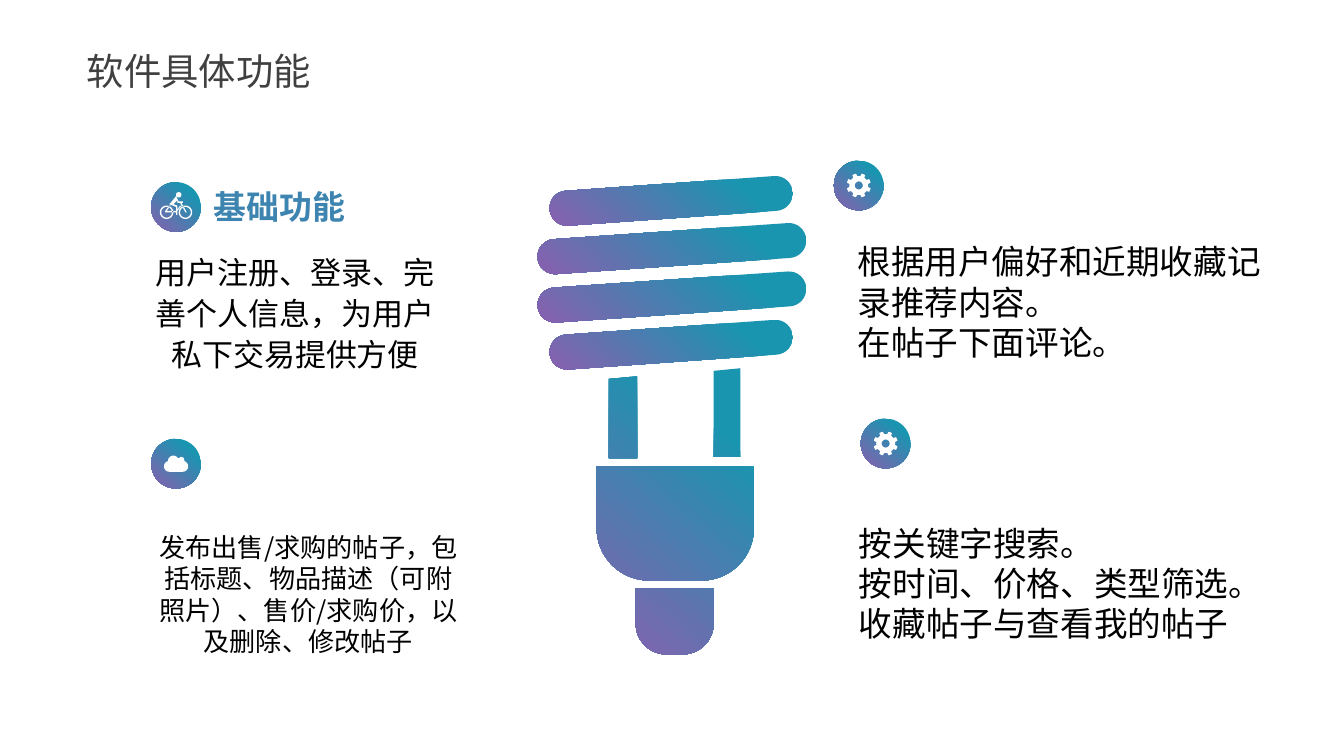
import math

from pptx import Presentation
from pptx.dml.color import RGBColor
from pptx.enum import shapes, text
from pptx.util import Inches, Pt

TEAL = RGBColor(0x1A, 0x95, 0xB0)
PURPLE = RGBColor(0x89, 0x5F, 0xAF)
BLUE = RGBColor(0x3D, 0x84, 0xB0)
GREY = RGBColor(0x40, 0x40, 0x40)
BLACK = RGBColor(0, 0, 0)
WHITE = RGBColor(0xFF, 0xFF, 0xFF)
BADGE_SIZE = 0.37


# Outlines: lists of (x, y) points in inches
def arc(x, y, radius, start, end, steps=16):
    angles = [math.radians(start + (end - start) * i / steps) for i in range(steps + 1)]
    return [(x + radius * math.cos(a), y + radius * math.sin(a)) for a in angles]


def circle(x, y, radius):
    return arc(x, y, radius, 0, 360, 32)


def tube(left, left_y, right, right_y, radius=0.13):
    tilt = math.degrees(math.atan2(right_y - left_y, right - left))
    return (arc(left, left_y, radius, tilt + 90, tilt + 270)
            + arc(right, right_y, radius, tilt - 90, tilt + 90))


def cup(left, top, right, bottom, radius):
    return ([(left, top), (right, top)]
            + arc(right - radius, bottom - radius, radius, 0, 90)
            + arc(left + radius, bottom - radius, radius, 90, 180))


def gear(x, y):
    rim = []
    for tooth in range(8):
        middle = 22.5 + 45 * tooth
        rim += arc(x, y, 0.07, middle - 22.5, middle - 13, 3)
        rim += arc(x, y, 0.09, middle - 9, middle + 9, 3)
        rim += arc(x, y, 0.07, middle + 13, middle + 22.5, 3)
    return [rim, circle(x, y, 0.03)]


class Painter:
    def __init__(self, page):
        self.page = page
        self.layer = page.shapes

    def group(self):
        self.layer = self.page.shapes.add_group_shape().shapes

    def paint(self, shape, color=None):
        """Fill with the colour, or with the teal to purple gradient."""
        shape.shadow.inherit = False
        shape.line.fill.background()
        if color is not None:
            shape.fill.solid()
            shape.fill.fore_color.rgb = color
            return
        shape.fill.gradient()
        shape.fill.gradient_angle = 230
        for stop, place, tone in zip(shape.fill.gradient_stops, (0.21, 1), (TEAL, PURPLE)):
            stop.position = place
            stop.color.rgb = tone

    def outline(self, contours, color=None):
        builder = None
        for contour in contours:
            points = [(Inches(x), Inches(y)) for x, y in contour]
            if builder is None:
                builder = self.layer.build_freeform(*points[0], scale=1.0)
            else:
                builder.move_to(*points[0])
            builder.add_line_segments(points[1:], close=True)
        self.paint(builder.convert_to_shape(), color)

    def badge(self, x, y, icon):
        self.group()
        half = BADGE_SIZE / 2
        disc = self.layer.add_shape(
            shapes.MSO_SHAPE.OVAL, Inches(x - half), Inches(y - half),
            Inches(BADGE_SIZE), Inches(BADGE_SIZE))
        self.paint(disc)
        self.outline(icon, WHITE)

    def text(self, place, lines, size, font="Calibri", color=BLACK, bold=False,
             centred=False, wrap=True, spacing=None):
        box = self.page.shapes.add_textbox(*map(Inches, place))
        frame = box.text_frame
        frame.margin_left = frame.margin_right = 0
        frame.margin_top = frame.margin_bottom = 0
        frame.vertical_anchor = text.MSO_ANCHOR.MIDDLE
        frame.word_wrap = wrap
        frame.text = "\n".join(lines)
        for para in frame.paragraphs:
            para.alignment = text.PP_ALIGN.CENTER if centred else text.PP_ALIGN.LEFT
            para.line_spacing = spacing
            para.font.size = Pt(size)
            para.font.name = font
            para.font.bold = bold
            para.font.color.rgb = color
            # Keep punctuation inside the box
            para._p.get_or_add_pPr().set("hangingPunct", "0")


deck = Presentation()
deck.slide_width, deck.slide_height = Inches(10), Inches(10 * 9 / 16)
page = deck.slides.add_slide(deck.slide_layouts[6])
painter = Painter(page)

# Lamp: legs, socket and plug, then the four tubes
painter.group()
painter.outline([
    [(5.51, 2.74), (5.31, 2.76), (5.31, 3.4), (5.51, 3.4)],
    [(4.74, 2.8), (4.53, 2.82), (4.53, 3.41), (4.74, 3.41)],
    cup(4.44, 3.47, 5.61, 4.32, 0.39),
    cup(4.73, 4.38, 5.31, 4.87, 0.23),
])
for ends in [(4.22, 1.55, 5.77, 1.44), (4.13, 1.91, 5.87, 1.79),
             (4.13, 2.27, 5.87, 2.15), (4.22, 2.62, 5.77, 2.51)]:
    painter.outline([tube(*ends)])

# Badges
cyclist = [circle(x, 1.58, radius) for x in (1.24, 1.38) for radius in (0.05, 0.04)]
cyclist += [
    circle(1.33, 1.45, 0.02),
    # rider
    [(1.31, 1.46), (1.33, 1.5), (1.36, 1.5), (1.36, 1.51), (1.32, 1.51),
     (1.32, 1.49), (1.29, 1.52), (1.32, 1.53), (1.32, 1.6), (1.31, 1.6),
     (1.31, 1.54), (1.26, 1.52), (1.27, 1.51)],
    # frame
    [(1.35, 1.51), (1.39, 1.58), (1.38, 1.58), (1.34, 1.51)],
    [(1.35, 1.53), (1.32, 1.57), (1.32, 1.56), (1.34, 1.53)],
    [(1.27, 1.53), (1.24, 1.57), (1.23, 1.57), (1.26, 1.53)],
    [(1.23, 1.57), (1.31, 1.57), (1.31, 1.58), (1.23, 1.58)],
]
cloud = [arc(1.26, 3.47, 0.04, 90, 250) + arc(1.29, 3.43, 0.04, 180, 330)
         + arc(1.35, 3.42, 0.02, 225, 360) + arc(1.36, 3.47, 0.04, 290, 450)]
painter.badge(1.31, 1.54, cyclist)
painter.badge(1.31, 3.45, cloud)
for centre in [(6.39, 1.38), (6.59, 3.3)]:
    painter.badge(*centre, gear(*centre))

# Title and heading
painter.text((0.07, 0.29, 2.82, 0.47), ["软件具体功能"], 20, "Noto Sans CJK SC", GREY,
             centred=True, wrap=False)
painter.text((1.56, 1.37, 1.04, 0.33), ["基础功能"], 17.6, "Arial", BLUE, bold=True,
             centred=True, wrap=False)

# Descriptions
painter.text((1.12, 1.82, 2.15, 0.99),
             ["用户注册、登录、完善个人信息，为用户私下交易提供方便"],
             16.6, centred=True, spacing=1.1)
painter.text((1.14, 3.77, 2.31, 1.3),
             ["发布出售/求购的帖子，包括标题、物品描述（可附照片）、售价/求购价，"
              "以及删除、修改帖子"],
             14, "Noto Sans CJK JP", centred=True)
painter.text((6.38, 1.68, 3.15, 1.13),
             ["根据用户偏好和近期收藏记录推荐内容。", "在帖子下面评论。"], 18)
painter.text((6.39, 3.61, 3.15, 1.46),
             ["按关键字搜索。", "按时间、价格、类型筛选。", "收藏帖子与查看我的帖子"], 18)

deck.save("out.pptx")
